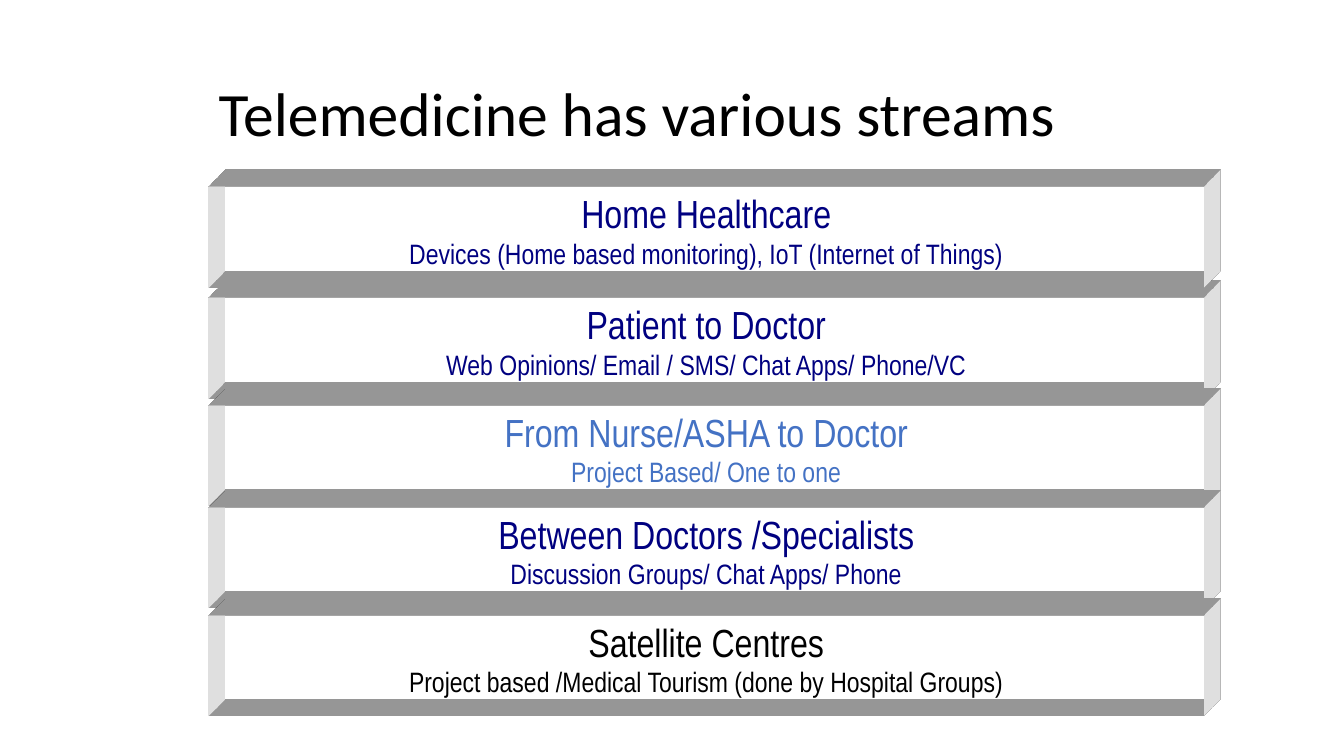
from dataclasses import dataclass

from lxml import etree
from pptx import Presentation
from pptx.dml.color import RGBColor as Color
from pptx.enum.shapes import MSO_SHAPE as Shape
from pptx.enum.text import MSO_ANCHOR as Anchor, MSO_AUTO_SIZE as AutoSize, PP_ALIGN as Align
from pptx.oxml.ns import qn
from pptx.util import Pt


@dataclass(frozen=True)
class Theme:
    """Colours, fonts and type sizes of the slide."""

    black: Color = Color(0, 0, 0)
    white: Color = Color(255, 255, 255)
    navy: Color = Color(0, 0, 128)
    blue: Color = Color(0x44, 0x72, 0xC4)
    title_font: str = "Calibri"
    stream_font: str = "Arial Narrow"
    title_size: int = 44
    heading_size: int = 28
    detail_size: int = 20


THEME = Theme()
DEPTH = Pt(33.87)
STREAMS = [
    (212.4, "Patient to Doctor", "Web Opinions/ Email / SMS/ Chat Apps/ Phone/VC", THEME.navy),
    (289.4, "From Nurse/ASHA to Doctor", "Project Based/ One to one", THEME.blue),
    (362.2, "Between Doctors /Specialists", "Discussion Groups/ Chat Apps/ Phone", THEME.navy),
    (439.2, "Satellite Centres", "Project based /Medical Tourism (done by Hospital Groups)", THEME.black),
    (133.2, "Home Healthcare", "Devices (Home based monitoring), IoT (Internet of Things)", THEME.navy),
]


def add_title(slide, text, left, top, width, height):
    """Place and format the title placeholder."""
    title = slide.shapes.title
    title.left, title.top, title.width, title.height = map(Pt, (left, top, width, height))
    frame = title.text_frame
    frame.text = text
    frame.auto_size = AutoSize.NONE
    frame.vertical_anchor = Anchor.MIDDLE
    paragraph = frame.paragraphs[0]
    paragraph.alignment = Align.LEFT
    paragraph.line_spacing = 0.9
    paragraph.font.name = THEME.title_font
    paragraph.font.size = Pt(THEME.title_size)
    paragraph.font.color.rgb = THEME.black


def extrude(shape, color):
    """Give a shape depth towards the upper right."""
    properties = shape.element.spPr
    scene = etree.SubElement(properties, qn("a:scene3d"))
    etree.SubElement(scene, qn("a:camera"), prst="legacyObliqueTopRight")
    etree.SubElement(scene, qn("a:lightRig"), rig="legacyFlat3", dir="b")
    solid = etree.SubElement(properties, qn("a:sp3d"), extrusionH=str(DEPTH), prstMaterial="legacyMatte")
    for bevel in ("a:bevelT", "a:bevelB"):
        etree.SubElement(solid, qn(bevel), w="13500", h="13500", prst="angle")
    extrusion = etree.SubElement(solid, qn("a:extrusionClr"))
    etree.SubElement(extrusion, qn("a:srgbClr"), val=str(color))


def add_stream(slide, heading, detail, color, left, top, width, height):
    """Draw one stream as a labelled hollow box with depth."""
    box = slide.shapes.add_shape(Shape.RECTANGLE, *map(Pt, (left, top, width, height)))
    box.shadow.inherit = False
    box.fill.background()
    box.line.color.rgb = THEME.white
    box.line.width = Pt(0.75)
    extrude(box, THEME.white)
    frame = box.text_frame
    frame.word_wrap = False
    frame.vertical_anchor = Anchor.MIDDLE
    frame.text = f"{heading}\n{detail}"
    for paragraph, size in zip(frame.paragraphs, (THEME.heading_size, THEME.detail_size)):
        paragraph.alignment = Align.CENTER
        paragraph.line_spacing = Pt(23.6)
        paragraph.font.name = THEME.stream_font
        paragraph.font.size = Pt(size)
        paragraph.font.color.rgb = color


def main():
    """Build and save the slide."""
    presentation = Presentation()
    presentation.slide_width, presentation.slide_height = Pt(960), Pt(540)
    slide = presentation.slides.add_slide(presentation.slide_layouts[5])
    for top, heading, detail, color in STREAMS:
        add_stream(slide, heading, detail, color, 149.2, top, 710.4, 72)
    add_title(slide, "Telemedicine has various streams", 149, 31, 756, 104.4)
    presentation.save("out.pptx")


if __name__ == "__main__":
    main()
